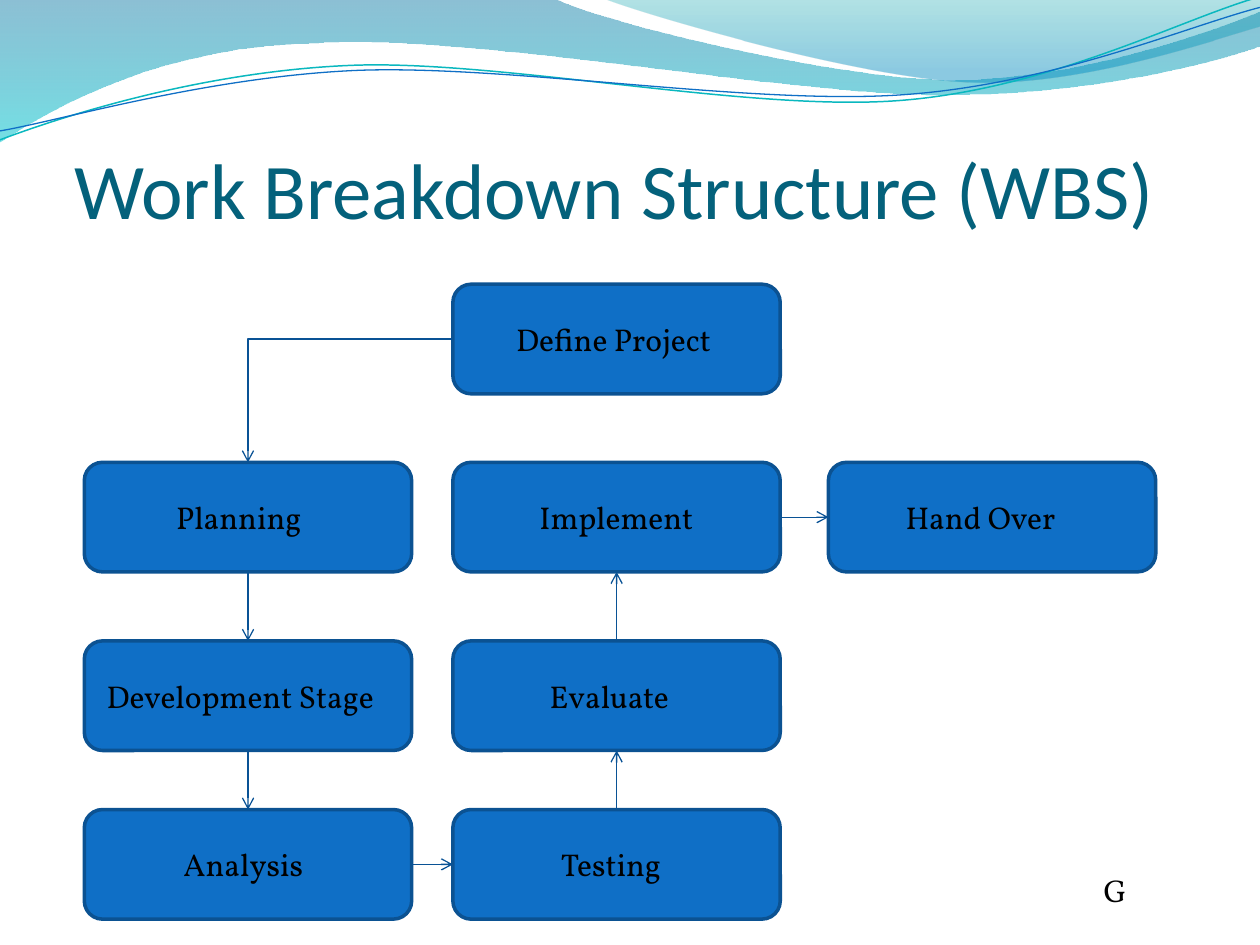
from dataclasses import dataclass

from lxml import etree
from pptx import Presentation
from pptx import util as u
from pptx.dml.color import RGBColor
from pptx.enum import shapes, text
from pptx.oxml.ns import qn


@dataclass(frozen=True)
class Theme:
    box: str = "0F6FC6"
    border: str = "0B5292"
    arrow: str = "095295"
    title: str = "04617B"
    ink: str = "000000"
    teal: str = "0AB8BF"
    wave: tuple = ((0, "0074A1", 45), (1, "00C6CF", 55))
    crest: tuple = ((0, "00A1A9", 30), (0.8, "008BBF", 45))
    title_font: str = "Calibri"
    body_font: str = "Vollkorn"
    title_size: int = 45
    body_size: int = 18


T = Theme()
TOP, LEFT, BOTTOM, RIGHT = range(4)
BOX_W, BOX_H, LABEL_H = 6.6, 2.21, 1.02
COLS = (1.7, 9.13, 16.7)
ROWS = (5.73, 9.32, 12.92, 16.32)

NODES = (
    ("Define Project", 1, 0, 4.55),
    ("Planning", 0, 1, 3.4),
    ("Implement", 1, 1, 3.61),
    ("Hand Over", 2, 1, 3.99),
    ("Development Stage", 0, 2, 6.2),
    ("Evaluate", 1, 2, 3.2),
    ("Analysis", 0, 3, 3.1),
    ("Testing", 1, 3, 2.74),
)
LINKS = (
    ("Define Project", LEFT, "Planning", TOP),
    ("Planning", BOTTOM, "Development Stage", TOP),
    ("Development Stage", BOTTOM, "Analysis", TOP),
    ("Analysis", RIGHT, "Testing", LEFT),
    ("Testing", TOP, "Evaluate", BOTTOM),
    ("Evaluate", TOP, "Implement", BOTTOM),
    ("Implement", RIGHT, "Hand Over", LEFT),
)

WAVE = (
    (0, 0), (11.18, -0.03),
    (12.09, 0.43, 16.87, 1.6, 19.25, 1.6),
    (21.67, 1.6, 24.33, 0.66, 25.4, 0.23),
    (25.43, 0.91),
    (24.97, 1.12, 22.1, 1.93, 18.95, 1.91),
    (15.8, 1.91, 9.7, 0.71, 6.53, 0.86),
    (3.25, 0.91, 1.17, 2.11, -0.03, 2.87),
)
CREST = (
    (12.17, -0.03),
    (12.93, 0.28, 17.32, 1.57, 19.53, 1.65),
    (21.74, 1.75, 24.41, 0.81, 25.4, 0.53),
    (25.4, 0),
)
TEAL_LINE = (
    (0, 2.82),
    (1.22, 2.36, 4.01, 1.45, 7.04, 1.32),
    (10.03, 1.19, 15.06, 2.26, 18.11, 2.03),
    (21.16, 1.8, 23.83, 0.38, 25.35, -0.05),
)
BLUE_LINE = (
    (0, 2.64),
    (1.19, 2.44, 4.17, 1.55, 7.19, 1.42),
    (10.24, 1.3, 15.16, 2.13, 18.21, 1.91),
    (21.23, 1.7, 23.93, 0.53, 25.4, 0.15),
)


def rgb(value):
    return RGBColor.from_string(value)


def write(tf, content, font=T.body_font, size=T.body_size, color=T.ink,
          anchor=text.MSO_ANCHOR.TOP, insets=(0.25, 0.13, 0.25, 0.13)):
    tf.word_wrap = True
    tf.vertical_anchor = anchor
    tf.margin_left, tf.margin_top, tf.margin_right, tf.margin_bottom = map(u.Cm, insets)
    r = tf.paragraphs[0].add_run()
    r.text = content
    r.font.name, r.font.size = font, u.Pt(size)
    r.font.color.rgb = rgb(color)


class Deck:
    def __init__(self, theme):
        self.theme = theme
        self.prs = Presentation()
        self.prs.slide_width, self.prs.slide_height = u.Cm(25.4), u.Cm(19.05)
        self.s = self.prs.slides.add_slide(self.prs.slide_layouts[6])

    def outline(self, steps, closed):
        pts = [(u.Cm(x), u.Cm(y)) for step in steps for x, y in zip(step[::2], step[1::2])]
        fb = self.s.shapes.build_freeform(*pts[0])
        fb.add_line_segments(pts[1:], close=closed)
        sp = fb.convert_to_shape()
        sp.shadow.inherit = False
        segments = iter(list(sp.element.iter(qn("a:lnTo"))))
        for step in steps[1:]:
            first, *others = [next(segments) for _ in step[::2]]
            if others:
                bezier = etree.Element(qn("a:cubicBezTo"))
                first.addprevious(bezier)
                for segment in (first, *others):
                    bezier.append(segment[0])
                    segment.getparent().remove(segment)
        return sp

    def area(self, steps, stops):
        sp = self.outline(steps, True)
        sp.line.fill.background()
        sp.fill.gradient()
        sp.fill.gradient_angle = 270
        for stop, (pos, color, _) in zip(sp.fill.gradient_stops, stops):
            stop.position = pos
            stop.color.rgb = rgb(color)
        for clr, (_, _, opacity) in zip(sp.element.spPr.iter(qn("a:srgbClr")), stops):
            etree.SubElement(clr, qn("a:alpha")).set("val", str(opacity * 1000))

    def curve(self, steps, color, width):
        sp = self.outline(steps, False)
        sp.fill.background()
        sp.line.color.rgb, sp.line.width = rgb(color), u.Pt(width)

    def label(self, content, x, y, w, h=LABEL_H, **fmt):
        sp = self.s.shapes.add_textbox(u.Cm(x), u.Cm(y), u.Cm(w), u.Cm(h))
        write(sp.text_frame, content, **fmt)

    def box(self, x, y):
        sp = self.s.shapes.add_shape(shapes.MSO_SHAPE.ROUNDED_RECTANGLE,
                                     u.Cm(x), u.Cm(y), u.Cm(BOX_W), u.Cm(BOX_H))
        sp.shadow.inherit = False
        sp.fill.solid()
        sp.fill.fore_color.rgb = rgb(self.theme.box)
        sp.line.color.rgb, sp.line.width = rgb(self.theme.border), u.Pt(2)
        return sp

    def arrow(self, start, begin_side, end, end_side):
        bent = begin_side % 2 != end_side % 2
        kind = shapes.MSO_CONNECTOR.ELBOW if bent else shapes.MSO_CONNECTOR.STRAIGHT
        sp = self.s.shapes.add_connector(kind, 0, 0, 0, 0)
        sp.begin_connect(start, begin_side)
        sp.end_connect(end, end_side)
        sp.line.color.rgb, sp.line.width = rgb(self.theme.arrow), u.Pt(0.75)
        spPr = sp.element.spPr
        if bent:
            spPr.find(qn("a:prstGeom")).set("prst", "bentConnector2")
        etree.SubElement(spPr.find(qn("a:ln")), qn("a:tailEnd")).set("type", "arrow")
        etree.SubElement(spPr, qn("a:effectLst"))


def main():
    deck = Deck(T)
    deck.area(WAVE, T.wave)
    deck.area(CREST, T.crest)
    deck.curve(TEAL_LINE, T.teal, 0.85)
    deck.curve(BLUE_LINE, T.box, 0.75)
    deck.label("Work Breakdown Structure (WBS)", 1.5, 2.33, 22.86, 2.41,
               font=T.title_font, size=T.title_size, color=T.title,
               anchor=text.MSO_ANCHOR.BOTTOM, insets=(0, 0.13, 0, 0))
    boxes = {name: deck.box(COLS[col], ROWS[row]) for name, col, row, _ in NODES}
    for start, begin_side, end, end_side in LINKS:
        deck.arrow(boxes[start], begin_side, boxes[end], end_side)
    for name, col, row, w in NODES:
        deck.label(name, COLS[col] + (BOX_W - w) / 2, ROWS[row] + (BOX_H - LABEL_H) / 2, w)
    deck.label("G", 22, 17.42, 1.7)
    deck.prs.save("out.pptx")


if __name__ == "__main__":
    main()
